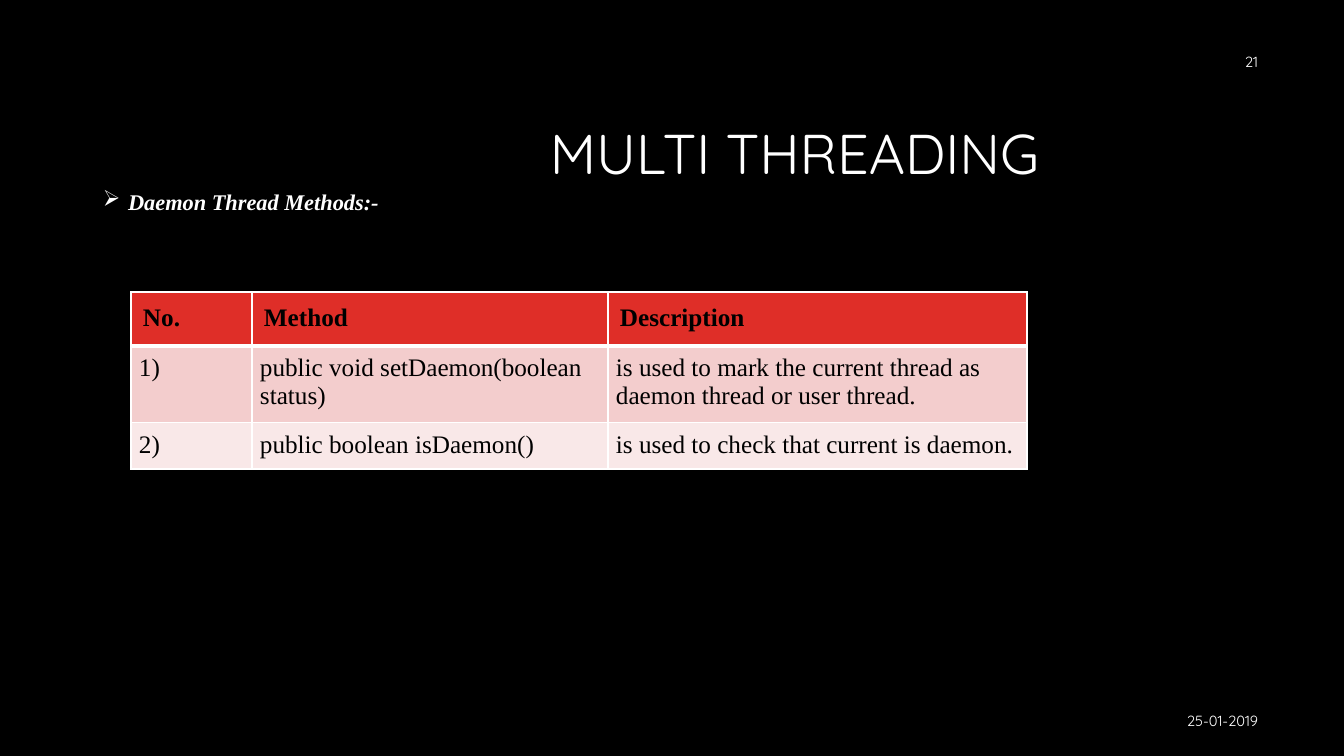
from lxml import etree
from pptx import Presentation, util as u
from pptx.dml.color import RGBColor
from pptx.enum import text
from pptx.oxml import ns

BLACK = RGBColor(0x00, 0x00, 0x00)
WHITE = RGBColor(0xFF, 0xFF, 0xFF)
RED = RGBColor(0xDF, 0x2E, 0x28)
ROSE = RGBColor(0xF3, 0xCD, 0xCD)
BLUSH = RGBColor(0xF9, 0xE8, 0xE8)
SANS = "Quicksand"
SERIF = "Times New Roman"
WIDE, HIGH = 1344, 756
SCALE = u.Inches(1) / 100.8


def px(n):
    return u.Emu(round(n * SCALE))


class Deck:
    def __init__(self):
        self.show = Presentation()
        self.show.slide_width, self.show.slide_height = px(WIDE), px(HIGH)
        self.slide = self.show.slides.add_slide(self.show.slide_layouts[5])
        fill = self.slide.background.fill
        fill.solid()
        fill.fore_color.rgb = BLACK

    def label(self, frame, words, size, face=SANS, color=WHITE, bold=False,
              align=text.PP_ALIGN.LEFT):
        frame.word_wrap = True
        para = frame.paragraphs[0]
        para.text = words
        para.alignment = align
        font = para.font
        font.name, font.size, font.bold = face, u.Pt(size), bold
        font.color.rgb = color
        return para

    def title(self, words, x, y, w, h):
        head = self.slide.shapes.title
        head.left, head.top, head.width, head.height = map(px, (x, y, w, h))
        frame = head.text_frame
        frame.auto_size = text.MSO_AUTO_SIZE.NONE
        frame.vertical_anchor = text.MSO_ANCHOR.MIDDLE
        para = self.label(frame, words, 40, align=text.PP_ALIGN.CENTER)
        para.line_spacing = 0.9

    def box(self, x, y, w, h):
        return self.slide.shapes.add_textbox(*map(px, (x, y, w, h))).text_frame

    def bullet(self, words, *area):
        para = self.label(self.box(*area), words, 16, SERIF, bold=True)
        para.font.italic = True
        para.line_spacing = 0.9
        para.space_before = u.Pt(10)
        props = para._p.get_or_add_pPr()
        props.set("marL", str(u.Inches(0.25)))
        props.set("indent", str(-u.Inches(0.25)))
        mark = etree.Element(ns.qn("a:buChar"), char="➢")
        props.find(ns.qn("a:defRPr")).addprevious(mark)

    def note(self, words, *area):
        frame = self.box(*area)
        frame.vertical_anchor = text.MSO_ANCHOR.MIDDLE
        self.label(frame, words, 10.5, align=text.PP_ALIGN.RIGHT)

    def border(self, cell, **widths):
        props = cell._tc.get_or_add_tcPr()
        for side, width in widths.items():
            line = etree.SubElement(props, ns.qn("a:ln" + side), w=str(u.Pt(width)))
            fill = etree.SubElement(line, ns.qn("a:solidFill"))
            etree.SubElement(fill, ns.qn("a:srgbClr"), val=str(WHITE))

    def table(self, rows, x, y, cols, highs, fills):
        grid = self.slide.shapes.add_table(
            len(rows), len(cols), px(x), px(y), px(sum(cols)), px(sum(highs))).table
        grid.first_row = grid.horz_banding = False
        for col, width in zip(grid.columns, cols):
            col.width = px(width)
        for r, row in enumerate(rows):
            grid.rows[r].height = px(highs[r])
            pad = px(8 if r else 12)
            for c, words in enumerate(row):
                cell = grid.cell(r, c)
                cell.margin_left = cell.margin_right = pad
                cell.margin_top = cell.margin_bottom = pad
                self.border(cell, L=1, R=1, T=3 if r == 1 else 1, B=1 if r else 3)
                cell.fill.solid()
                cell.fill.fore_color.rgb = fills[r]
                self.label(cell.text_frame, words, 18, SERIF, BLACK, r == 0)


def main():
    deck = Deck()
    deck.title("MULTI THREADING", 320, 85, 949, 142)
    deck.bullet("Daemon Thread Methods:-", 93, 186, 1159, 533)
    deck.note("25-01-2019", 948, 701, 320, 40)
    deck.note("21", 966, 42, 302, 40)
    rows = [
        ("No.", "Method", "Description"),
        ("1)", "public void setDaemon(boolean status)",
         "is used to mark the current thread as daemon thread or user thread."),
        ("2)", "public boolean isDaemon()", "is used to check that current is daemon."),
    ]
    deck.table(rows, 131, 292, (121, 356, 419), (53, 73, 45), (RED, ROSE, BLUSH))
    deck.show.save("out.pptx")


if __name__ == "__main__":
    main()
